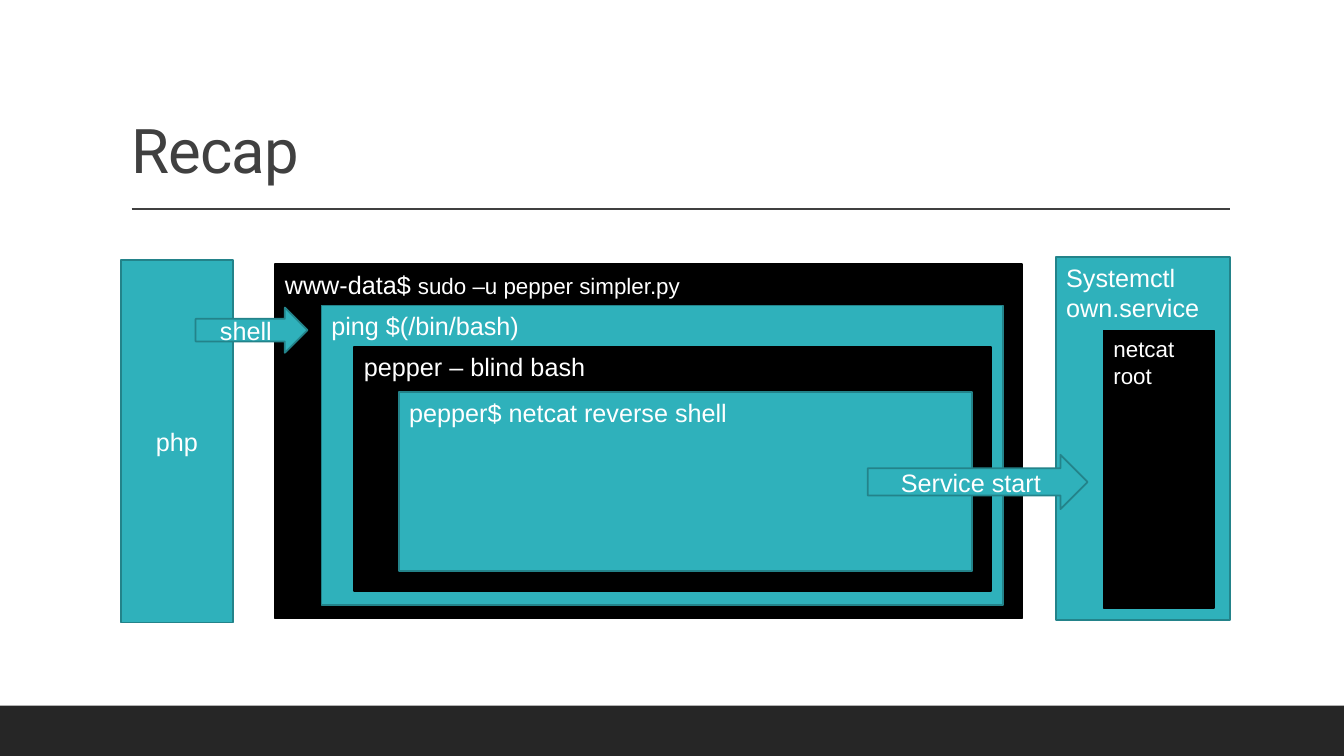
from dataclasses import dataclass
from lxml.etree import SubElement
from pptx import Presentation
from pptx.dml.color import RGBColor
from pptx.enum.shapes import MSO_CONNECTOR, MSO_SHAPE
from pptx.enum.text import MSO_ANCHOR, MSO_AUTO_SIZE, PP_ALIGN
from pptx.oxml.ns import qn
from pptx.util import Cm, Pt


@dataclass(frozen=True)
class Theme:
    teal: str = "2FB1BB"
    edge: str = "23838A"
    black: str = "000000"
    white: str = "FFFFFF"
    ink: str = "404040"
    bar: str = "262626"
    head: str = "Roboto"
    body: str = "Arial"
    title: int = 44
    label: int = 18
    small: int = 16
    line: float = 1.25


THEME = Theme()
TEAL = (THEME.teal, THEME.edge)
BLACK = (THEME.black, THEME.black)


def write(frame, lines, size=THEME.label, font=THEME.body, color=THEME.white,
          align=PP_ALIGN.LEFT, anchor=MSO_ANCHOR.TOP, space=None, track=None):
    frame.word_wrap = True
    frame.auto_size = MSO_AUTO_SIZE.NONE
    frame.vertical_anchor = anchor
    for index, line in enumerate(lines):
        para = frame.paragraphs[0] if index == 0 else frame.add_paragraph()
        para.alignment = align
        para.line_spacing = space
        for text, points in [(line, size)] if isinstance(line, str) else line:
            run = para.add_run()
            run.text = text
            run.font.size = Pt(points)
            run.font.name = font
            run.font.color.rgb = RGBColor.from_string(color)
            if track is not None:
                run._r.get_or_add_rPr().set("spc", str(track))


def block(slide, box, paint, lines=(), kind=MSO_SHAPE.RECTANGLE, **style):
    shape = slide.shapes.add_shape(kind, *map(Cm, box))
    shape.shadow.inherit = False
    fill, edge = paint
    shape.fill.solid()
    shape.fill.fore_color.rgb = RGBColor.from_string(fill)
    if edge:
        shape.line.color.rgb = RGBColor.from_string(edge)
        shape.line.width = Pt(THEME.line)
    else:
        shape.line.fill.background()
    write(shape.text_frame, lines, **style)


def center(slide, box, text, kind=MSO_SHAPE.RECTANGLE):
    block(slide, box, TEAL, [text], kind,
          align=PP_ALIGN.CENTER, anchor=MSO_ANCHOR.MIDDLE)


def arrow(slide, box, text):
    center(slide, box, text, MSO_SHAPE.RIGHT_ARROW)


def inset(box, left, top, right, bottom):
    x, y, width, height = box
    return x + left, y + top, width - left - right, height - top - bottom


def footer(slide, box):
    block(slide, box, (THEME.bar, None))


def header(slide, box):
    x, y, width, height = box
    title = slide.shapes.title
    title.left, title.top, title.width, title.height = map(Cm, box)
    write(title.text_frame, ["Recap"], size=THEME.title, font=THEME.head,
          color=THEME.ink, anchor=MSO_ANCHOR.BOTTOM, space=0.9, track=-50)
    level = Cm(y + height + 0.44)
    rule = slide.shapes.add_connector(
        MSO_CONNECTOR.STRAIGHT, Cm(x + 0.27), level, Cm(x + width), level)
    rule.line.color.rgb = RGBColor.from_string(THEME.ink)
    rule.line.width = Pt(1)
    SubElement(rule._element.spPr, qn("a:effectLst"))


def source(slide, box):
    x, y, width, height = box
    center(slide, box, "php")
    arrow(slide, (x + 1.88, y + 1.2, width, 1.14), "shell")


def nest(slide, box):
    layers = [
        ((1.17, 1.05, 0.48, 0.35), TEAL, "ping $(/bin/bash)"),
        ((0.82, 1.04, 0.3, 0.35), BLACK, "pepper – blind bash"),
        ((1.14, 1.14, 0.48, 0.5), TEAL, "pepper$ netcat reverse shell"),
    ]
    for gaps, paint, text in layers:
        box = inset(box, *gaps)
        block(slide, box, paint, [text])


def service(slide, box):
    x, y, width, height = box
    block(slide, box, TEAL, ["Systemctl", "own.service "])
    block(slide, inset(box, 1.19, 1.85, 0.39, 0.3), BLACK,
          ["netcat", "root"], size=THEME.small)
    arrow(slide, (x - 4.75, y + 4.98, 5.54, 1.37), "Service start")


def build():
    deck = Presentation()
    deck.slide_width, deck.slide_height = Cm(33.87), Cm(19.05)
    slide = deck.slides.add_slide(deck.slide_layouts[5])
    footer(slide, (0, 17.78, 33.87, 1.27))
    header(slide, (3.05, 0.79, 27.94, 4.04))
    host = (6.93, 6.65, 18.82, 8.94)
    block(slide, host, BLACK, [[("www-data$ ", THEME.label),
                                ("sudo –u pepper simpler.py", THEME.small)]])
    source(slide, (3.05, 6.55, 2.82, 9.14))
    nest(slide, host)
    service(slide, (26.62, 6.48, 4.37, 9.14))
    deck.save("out.pptx")


build()
